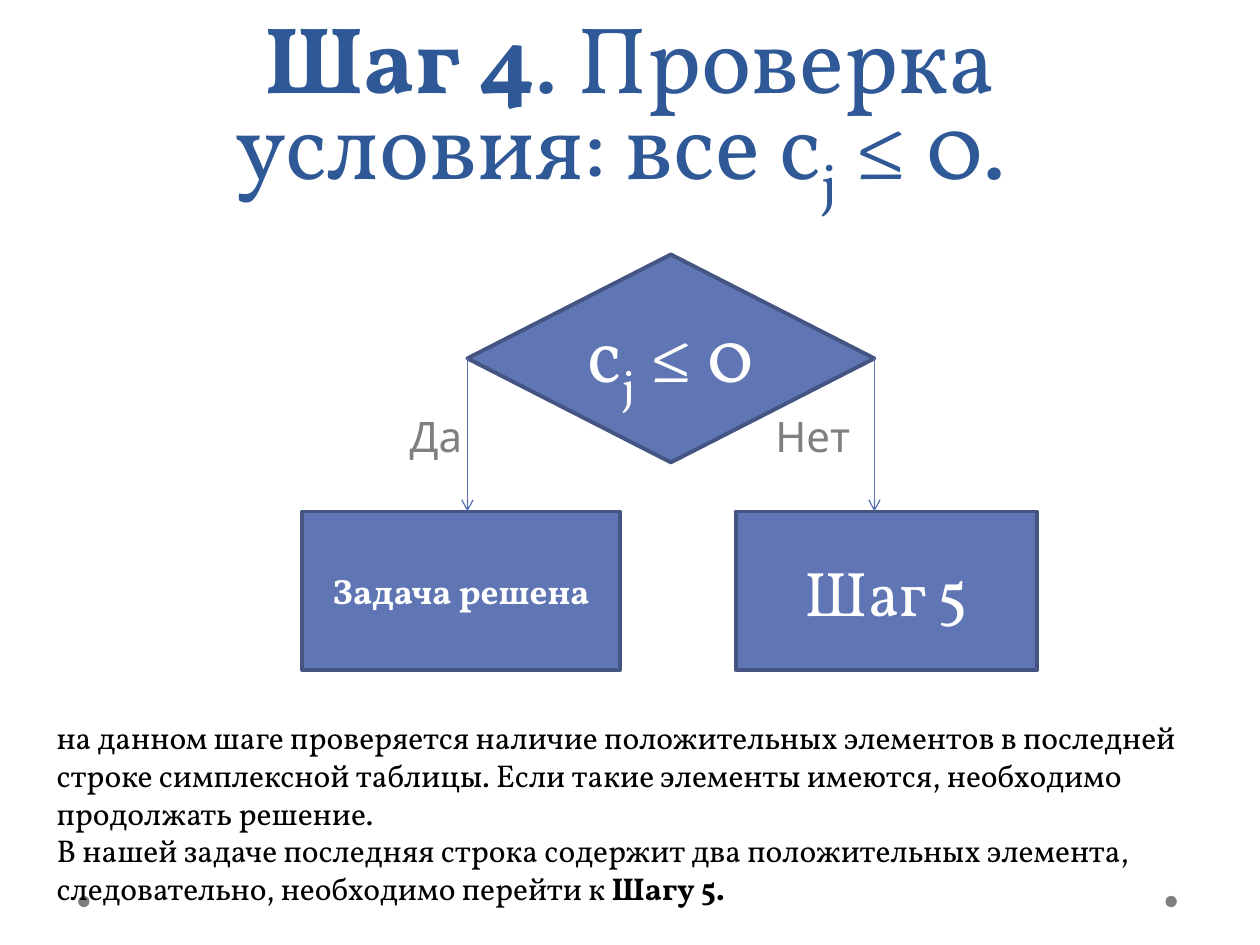
"""Build the slide for step 4: a yes/no decision with two outcomes and a note."""
from lxml import etree
from pptx import Presentation
from pptx import util as u
from pptx.dml.color import RGBColor
from pptx.enum import shapes, text
from pptx.oxml.ns import qn

THEME = {
    "serif": "Vollkorn", "sans": "League Spartan",
    "title": "2F5897", "fill": "6076B4", "edge": "445583", "arrow": "5C72B2",
    "grey": "7F7F7F", "light": "FFFFFF", "dark": "000000",
    "title_size": 54, "decision_size": 44, "step_size": 36,
    "label_size": 24, "solved_size": 20, "note_size": 18,
}

prs = Presentation()
prs.slide_width, prs.slide_height = u.Inches(10), u.Inches(7.5)
col, row = prs.slide_width / 100, prs.slide_height / 100
s = prs.slides.add_slide(prs.slide_layouts[6])


def place(left, top, width, height):
    return [round(v) for v in (left * col, top * row, width * col, height * row)]


def write(sp, *paragraphs, size, color, font="serif", align="CENTER", anchor="MIDDLE", spacing=None):
    tf = sp.text_frame
    tf.word_wrap = True
    tf.vertical_anchor = text.MSO_ANCHOR[anchor]
    for i, runs in enumerate(paragraphs):
        p = tf.add_paragraph() if i else tf.paragraphs[0]
        p.alignment = text.PP_ALIGN[align]
        p.line_spacing = spacing
        for words, style in runs:
            r = p.add_run()
            r.text = words
            r.font.name = THEME[font]
            r.font.size = u.Pt(THEME[size])
            r.font.bold = style == "bold"
            r.font.color.rgb = RGBColor.from_string(THEME[color])
            if style == "sub":
                r.font._element.set("baseline", "-25000")


for left in (6.2, 92.5):
    sp = s.shapes.add_shape(shapes.MSO_SHAPE.OVAL, *place(left, 94.8, 0.9, 1.2))
    sp.shadow.inherit = False
    sp.fill.solid()
    sp.fill.fore_color.rgb = RGBColor.from_string(THEME["grey"])
    sp.line.fill.background()

title = s.shapes.add_textbox(*place(5, 0, 90, 23.33))
write(title, [("Шаг 4", "bold"), (". Проверка условия: все c", ""), ("j", "sub"), (" ≤ 0. ", "")],
      size="title_size", color="title", anchor="BOTTOM", spacing=u.Pt(57.9))

for center, answer in ((34.6, "Да"), (64.5, "Нет")):
    label = s.shapes.add_textbox(*place(center - 5, 42.8, 10, 6.67))
    write(label, [(answer, "")], size="label_size", color="grey", font="sans")

left, top, width, height = 37.1, 26.93, 32.3, 22
box_top, box_height = 54.13, 16.8
nodes = (
    ("FLOWCHART_DECISION", (left, top, width, height),
     [("c", ""), ("j", "sub"), (" ≤ 0", "")], "decision_size"),
    ("RECTANGLE", (24, box_top, 25.2, box_height), [("Задача решена", "bold")], "solved_size"),
    ("RECTANGLE", (58.4, box_top, 23.9, box_height), [("Шаг 5", "")], "step_size"),
)
for kind, box, runs, size in nodes:
    sp = s.shapes.add_shape(shapes.MSO_SHAPE[kind], *place(*box))
    sp.shadow.inherit = False
    sp.fill.solid()
    sp.fill.fore_color.rgb = RGBColor.from_string(THEME["fill"])
    sp.line.color.rgb = RGBColor.from_string(THEME["edge"])
    sp.line.width = u.Pt(2.25)
    write(sp, runs, size=size, color="light")

for x in (left, left + width):
    ends = place(x, top + height / 2, x, box_top)
    arrow = s.shapes.add_connector(shapes.MSO_CONNECTOR.STRAIGHT, *ends)
    arrow.line.color.rgb = RGBColor.from_string(THEME["arrow"])
    arrow.line.width = u.Pt(0.75)
    etree.SubElement(arrow.line._get_or_add_ln(), qn("a:tailEnd"), type="arrow")
    etree.SubElement(arrow._element.spPr, qn("a:effectLst"))

note = s.shapes.add_textbox(*place(3.5, 75.33, 92.9, 21.33))
write(note,
      [("на данном шаге проверяется наличие положительных элементов в последней строке "
        "симплексной таблицы. Если такие элементы имеются, необходимо продолжать решение.", "")],
      [("В нашей задаче последняя строка содержит два положительных элемента, "
        "следовательно, необходимо перейти к ", ""), ("Шагу 5.", "bold")],
      size="note_size", color="dark", align="LEFT", anchor="TOP")

prs.save("out.pptx")
